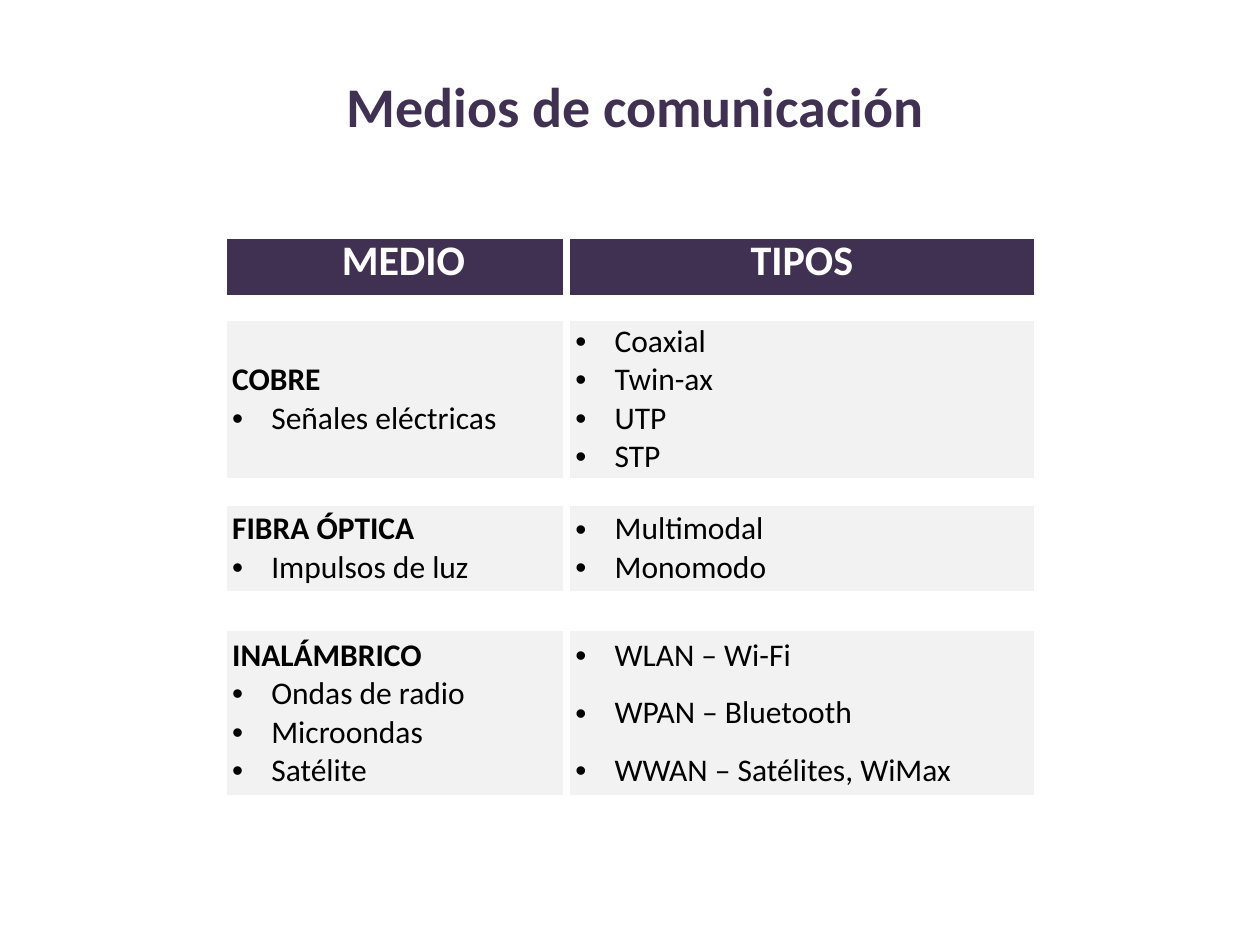
from lxml.etree import SubElement
from pptx import Presentation
from pptx.dml.color import RGBColor
from pptx.enum.text import MSO_ANCHOR, PP_ALIGN
from pptx.oxml.ns import qn
from pptx.util import Cm, Pt

PURPLE, GRAY, WHITE, BLACK = "403152", "F2F2F2", "FFFFFF", "000000"
LEFT, COLUMN_WIDTHS = 4.5, (6.92, 9.49)
BULLET_INDENT, HEADING_INDENT, HEADER_INDENT = 0.97, 0.18, 2.39
MEDIA = [
    (6.4, 3.3, 0, "COBRE", ["Señales eléctricas"],
     ["Coaxial", "Twin-ax", "UTP", "STP"]),
    (10.13, 1.85, 0, "FIBRA ÓPTICA", ["Impulsos de luz"],
     ["Multimodal", "Monomodo"]),
    (12.65, 3.45, 10.8, "INALÁMBRICO",
     ["Ondas de radio", "Microondas", "Satélite"],
     ["WLAN – Wi-Fi", "WPAN – Bluetooth", "WWAN – Satélites, WiMax"]),
]


def color(value):
    """Return the colour for a hex string."""
    return RGBColor.from_string(value)


class SlideBuilder:
    """Hold the text style and the current slide."""

    def __init__(self, slide, font_name="Calibri"):
        """Keep the slide and the font name."""
        self.slide = slide
        self.font_name = font_name

    def add_run(self, paragraph, text, size, hex_color, bold=False):
        """Add one formatted run to a paragraph."""
        run = paragraph.add_run()
        run.text = text
        run.font.name = self.font_name
        run.font.size = Pt(size)
        run.font.bold = bold
        run.font.color.rgb = color(hex_color)

    def add_title(self, text):
        """Place and fill the title placeholder."""
        title = self.slide.shapes.title
        title.left, title.top = Cm(0.36), Cm(0.53)
        title.width, title.height = Cm(24.9), Cm(3.18)
        title.text_frame.vertical_anchor = MSO_ANCHOR.MIDDLE
        paragraph = title.text_frame.paragraphs[0]
        paragraph.alignment = PP_ALIGN.CENTER
        self.add_run(paragraph, text, 32, PURPLE, True)

    def add_row(self, top, height, fill, anchor):
        """Add a one-row table and return its two cells."""
        frame = self.slide.shapes.add_table(
            1, len(COLUMN_WIDTHS), Cm(LEFT), Cm(top), Cm(sum(COLUMN_WIDTHS)), Cm(height))
        table = frame.table
        table.first_row = table.horz_banding = False
        for column, width in zip(table.columns, COLUMN_WIDTHS):
            column.width = Cm(width)
        cells = list(table.rows[0].cells)
        for cell in cells:
            cell.margin_left = cell.margin_right = 0
            cell.margin_top = cell.margin_bottom = 0
            cell.vertical_anchor = anchor
            self.add_borders(cell)
            cell.fill.solid()
            cell.fill.fore_color.rgb = color(fill)
        return cells

    def add_borders(self, cell):
        """Give a cell thick white borders."""
        properties = cell._tc.get_or_add_tcPr()
        for side in ("a:lnL", "a:lnR", "a:lnT", "a:lnB"):
            line = SubElement(properties, qn(side), w=str(Pt(4.5)))
            solid = SubElement(line, qn("a:solidFill"))
            SubElement(solid, qn("a:srgbClr"), val=WHITE)

    def add_heading(self, cell, text, size, hex_color, indent=0):
        """Write a bold heading in the first paragraph of a cell."""
        paragraph = cell.text_frame.paragraphs[0]
        paragraph._p.get_or_add_pPr().set("marL", str(Cm(indent)))
        self.add_run(paragraph, text, size, hex_color, True)
        return paragraph

    def add_bullets(self, cell, items, gap=0):
        """Write bulleted paragraphs after any text in a cell."""
        for index, item in enumerate(items):
            paragraph = cell.text_frame.paragraphs[0]
            if paragraph.runs:
                paragraph = cell.text_frame.add_paragraph()
            properties = paragraph._p.get_or_add_pPr()
            properties.set("marL", str(Cm(BULLET_INDENT)))
            properties.set("indent", str(Cm(HEADING_INDENT - BULLET_INDENT)))
            SubElement(properties, qn("a:buFont"), typeface="Arial")
            SubElement(properties, qn("a:buChar"), char="•")
            if gap and index:
                paragraph.space_before = Pt(gap)
            self.add_run(paragraph, item, 18, BLACK)


def main():
    """Build and save the presentation."""
    presentation = Presentation()
    presentation.slide_width, presentation.slide_height = Cm(25.4), Cm(19.05)
    slide = presentation.slides.add_slide(presentation.slide_layouts[5])
    builder = SlideBuilder(slide)
    builder.add_title("Medios de comunicación")

    medium, types = builder.add_row(4.75, 1.27, PURPLE, MSO_ANCHOR.TOP)
    builder.add_heading(medium, "MEDIO", 24, WHITE, HEADER_INDENT)
    builder.add_heading(types, "TIPOS", 24, WHITE).alignment = PP_ALIGN.CENTER

    for top, height, gap, name, signals, kinds in MEDIA:
        medium, types = builder.add_row(top, height, GRAY, MSO_ANCHOR.MIDDLE)
        builder.add_heading(medium, name, 18, BLACK, HEADING_INDENT)
        builder.add_bullets(medium, signals)
        builder.add_bullets(types, kinds, gap)

    presentation.save("out.pptx")


if __name__ == "__main__":
    main()
